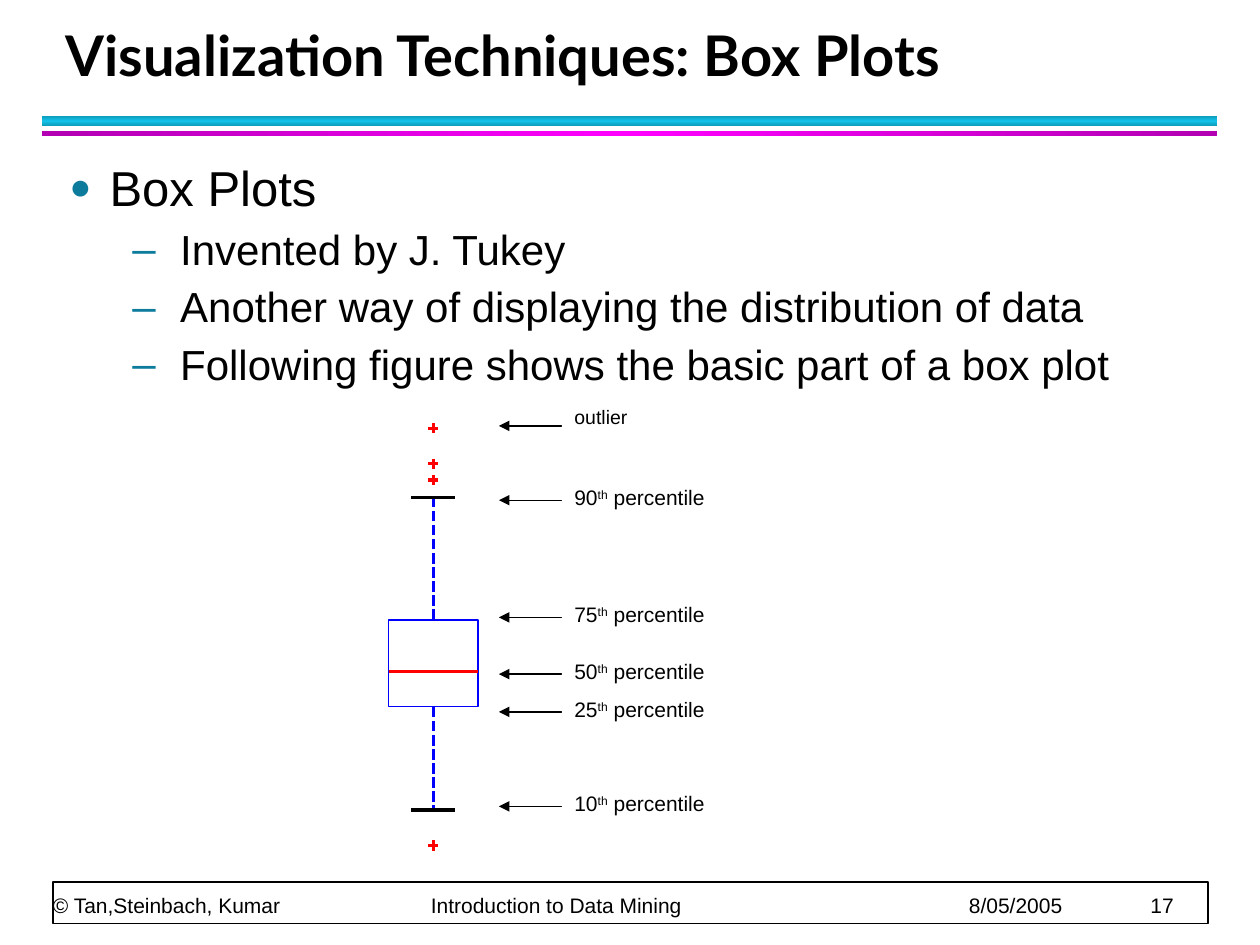
"""Build the box plot slide with its labelled percentile figure."""
from copy import deepcopy
from dataclasses import dataclass

from lxml import etree
from pptx import Presentation
from pptx.dml.color import RGBColor
from pptx.enum.dml import MSO_LINE
from pptx.enum.shapes import MSO_CONNECTOR, MSO_SHAPE
from pptx.enum.text import MSO_ANCHOR, MSO_AUTO_SIZE, PP_ALIGN
from pptx.oxml.ns import qn
from pptx.util import Inches, Pt

RECTANGLE = MSO_SHAPE.RECTANGLE
STRAIGHT = MSO_CONNECTOR.STRAIGHT
DASH = MSO_LINE.SQUARE_DOT
LEFT = PP_ALIGN.LEFT
TOP, BOTTOM = MSO_ANCHOR.TOP, MSO_ANCHOR.BOTTOM
MIDDLE = MSO_ANCHOR.MIDDLE
NO_AUTOFIT = MSO_AUTO_SIZE.NONE


@dataclass(frozen=True)
class Theme:
    black: str = "000000"
    white: str = "FFFFFF"
    blue: str = "0000FF"
    red: str = "FF0000"
    bullet: str = "0C7B9C"
    cyan_band: tuple = ("0E9BBA", "12C2E9", "0E9BBA")
    magenta_band: tuple = ("B200B2", "FF00FF", "B200B2")
    heading_font: str = "Lato"
    body_font: str = "Arial"
    title_size: float = 32
    topic_size: float = 28
    point_size: float = 24
    small_size: float = 12
    outlier_size: float = 11.1


@dataclass(frozen=True)
class Bullet:
    text: str
    level: int = 1


@dataclass(frozen=True)
class BulletStyle:
    mark: str
    size: float
    margin: float
    hanging: float
    before: float
    mark_percent: int


@dataclass(frozen=True)
class Label:
    number: str
    arrow_y: float


THEME = Theme()
BULLET_STYLES = (
    BulletStyle("●", THEME.topic_size, 0.32, 0.32, 3.5, 75),
    BulletStyle("–", THEME.point_size, 0.88, 0.38, 3, 100),
)
BULLETS = (
    Bullet("Box Plots", 0),
    Bullet("Invented by J. Tukey"),
    Bullet("Another way of displaying the distribution of data"),
    Bullet("Following figure shows the basic part of a box plot"),
)
LABELS = (Label("10", 6.4), Label("25", 5.65), Label("75", 4.9), Label("50", 5.35), Label("90", 3.97))
FOOTER = ("© Tan,Steinbach, Kumar", "Introduction to Data Mining", "8/05/2005", "17")
FOOTER_TABS = (3, 7.27, 8.71)
AXIS = 3.44
BOX_WIDTH, BOX_TOP, BOX_BOTTOM, MEDIAN = 0.71, 4.92, 5.61, 5.33
CAP_WIDTH, CAP_TOP, CAP_BOTTOM = 0.35, 3.95, 6.43
CROSSES = (3.4, 3.81, 3.68, 6.71)
CROSS_ARM = 0.04
ARROW_LEFT, LABEL_LEFT = 3.96, 4.46


def color(value: str) -> RGBColor:
    return RGBColor.from_string(value)


def add_run(paragraph, text: str, size: float, font: str = THEME.body_font, bold: bool = False):
    run = paragraph.add_run()
    run.text = text
    run.font.size, run.font.name, run.font.bold = Pt(size), font, bold
    run.font.color.rgb = color(THEME.black)
    return run


def place(shape, left: float, top: float, width: float, height: float) -> None:
    shape.left, shape.top = Inches(left), Inches(top)
    shape.width, shape.height = Inches(width), Inches(height)


def add_rectangle(slide, left: float, top: float, width: float, height: float,
                  fill: str | None = None, line: str | None = None, line_width: float = 0):
    shape = slide.shapes.add_shape(RECTANGLE, *map(Inches, (left, top, width, height)))
    shape.shadow.inherit = False
    if fill:
        shape.fill.solid()
        shape.fill.fore_color.rgb = color(fill)
    else:
        shape.fill.background()
    if line:
        shape.line.color.rgb = color(line)
        shape.line.width = Pt(line_width)
    else:
        shape.line.fill.background()
    return shape


def add_band(slide, top: float, height: float, colors: tuple, angle: float) -> None:
    band = add_rectangle(slide, 0.33, top, 9.33, height)
    band.fill.gradient()
    stops = band._element.spPr.find(".//" + qn("a:gsLst"))
    stops.append(deepcopy(stops[-1]))
    for index, (stop, value) in enumerate(zip(band.fill.gradient_stops, colors)):
        stop.position = index / 2
        stop.color.rgb = color(value)
    band.fill.gradient_angle = angle


def add_line(slide, start: tuple, end: tuple, line: str, width: float = 0):
    connector = slide.shapes.add_connector(STRAIGHT, *map(Inches, (*start, *end)))
    connector.line.color.rgb = color(line)
    connector.line.width = Pt(width)
    etree.SubElement(connector._element.spPr, qn("a:effectLst"))
    return connector


def add_label(slide, arrow_y: float, top: float, width: float, height: float, spacing: float):
    arrow = add_line(slide, (ARROW_LEFT, arrow_y), (LABEL_LEFT, arrow_y), THEME.black, 0.75)
    etree.SubElement(arrow.line._get_or_add_ln(), qn("a:headEnd"), type="triangle")
    label = add_rectangle(slide, LABEL_LEFT, top, width, height, THEME.white)
    label.text_frame.vertical_anchor = TOP
    label.text_frame.word_wrap = True
    paragraph = label.text_frame.paragraphs[0]
    paragraph.alignment, paragraph.line_spacing, paragraph.space_after = LEFT, spacing, Pt(4)
    return paragraph


def add_title(slide) -> None:
    title = slide.shapes.title
    place(title, 0.42, 0.17, 9.06, 0.58)
    title.text_frame.vertical_anchor = BOTTOM
    title.text_frame.auto_size = NO_AUTOFIT
    paragraph = title.text_frame.paragraphs[0]
    paragraph.alignment, paragraph.line_spacing = LEFT, Pt(36)
    add_run(paragraph, "Visualization Techniques: Box Plots", THEME.title_size, THEME.heading_font, True)


def add_bullets(slide) -> None:
    body = slide.placeholders[1]
    place(body, 0.45, 1.25, 9.22, 2)
    frame = body.text_frame
    frame.auto_size = NO_AUTOFIT
    for index, bullet in enumerate(BULLETS):
        paragraph = frame.add_paragraph() if index else frame.paragraphs[0]
        style = BULLET_STYLES[bullet.level]
        paragraph.level = bullet.level
        properties = paragraph._p.get_or_add_pPr()
        properties.set("marL", str(Inches(style.margin)))
        properties.set("indent", str(-Inches(style.hanging)))
        mark_color = etree.SubElement(properties, qn("a:buClr"))
        etree.SubElement(mark_color, qn("a:srgbClr"), val=THEME.bullet)
        etree.SubElement(properties, qn("a:buSzPct"), val=str(style.mark_percent * 1000))
        etree.SubElement(properties, qn("a:buFont"), typeface=THEME.body_font)
        etree.SubElement(properties, qn("a:buChar"), char=style.mark)
        paragraph.line_spacing, paragraph.space_after = 0.9, Pt(4)
        paragraph.space_before = Pt(style.before if index else 0)
        add_run(paragraph, bullet.text, style.size)


def add_footer(slide) -> None:
    add_rectangle(slide, 0.42, 7, 9.17, 0.33, THEME.white, THEME.black, 1)
    footer = slide.shapes.add_textbox(*map(Inches, (0.42, 6.72, 9.15, 0.56)))
    frame = footer.text_frame
    frame.word_wrap, frame.vertical_anchor = True, BOTTOM
    frame.margin_left = frame.margin_top = frame.margin_right = frame.margin_bottom = 0
    paragraph = frame.paragraphs[0]
    tabs = etree.SubElement(paragraph._p.get_or_add_pPr(), qn("a:tabLst"))
    for position in FOOTER_TABS:
        etree.SubElement(tabs, qn("a:tab"), pos=str(Inches(position)), algn="l")
    paragraph.line_spacing = Pt(20)
    add_run(paragraph, "\t".join(FOOTER), THEME.small_size)


def add_box_plot(slide) -> None:
    box_left = AXIS - BOX_WIDTH / 2
    box = add_rectangle(slide, box_left, BOX_TOP, BOX_WIDTH, BOX_BOTTOM - BOX_TOP, line=THEME.blue)
    for edge, cap, site in ((BOX_TOP, CAP_TOP, 0), (BOX_BOTTOM, CAP_BOTTOM, 2)):
        whisker = add_line(slide, (AXIS, edge), (AXIS, cap), THEME.blue)
        whisker.begin_connect(box, site)
        whisker.line.dash_style = DASH
        add_line(slide, (AXIS - CAP_WIDTH / 2, cap), (AXIS + CAP_WIDTH / 2, cap), THEME.black)
    add_line(slide, (box_left, MEDIAN), (box_left + BOX_WIDTH, MEDIAN), THEME.red)
    for y in CROSSES:
        add_line(slide, (AXIS - CROSS_ARM, y), (AXIS + CROSS_ARM, y), THEME.red)
        add_line(slide, (AXIS, y - CROSS_ARM), (AXIS, y + CROSS_ARM), THEME.red)


def add_labels(slide) -> None:
    paragraph = add_label(slide, 3.38, 3.22, 0.75, 0.25, 0.7)
    add_run(paragraph, "outlier", THEME.outlier_size)
    for label in LABELS:
        paragraph = add_label(slide, label.arrow_y, label.arrow_y - 0.15, 1.37, 0.37, 0.9)
        add_run(paragraph, label.number, THEME.small_size)
        suffix = add_run(paragraph, "th", THEME.small_size)
        suffix.font._element.set("baseline", "30000")
        add_run(paragraph, " percentile", THEME.small_size)


def main() -> None:
    presentation = Presentation()
    presentation.slide_width, presentation.slide_height = Inches(10), Inches(7.5)
    slide = presentation.slides.add_slide(presentation.slide_layouts[1])
    add_band(slide, 0.92, 0.08, THEME.cyan_band, 90)
    add_band(slide, 1.04, 0.04, THEME.magenta_band, 0)
    add_footer(slide)
    add_title(slide)
    add_bullets(slide)
    add_box_plot(slide)
    add_labels(slide)
    presentation.save("out.pptx")


if __name__ == "__main__":
    main()
